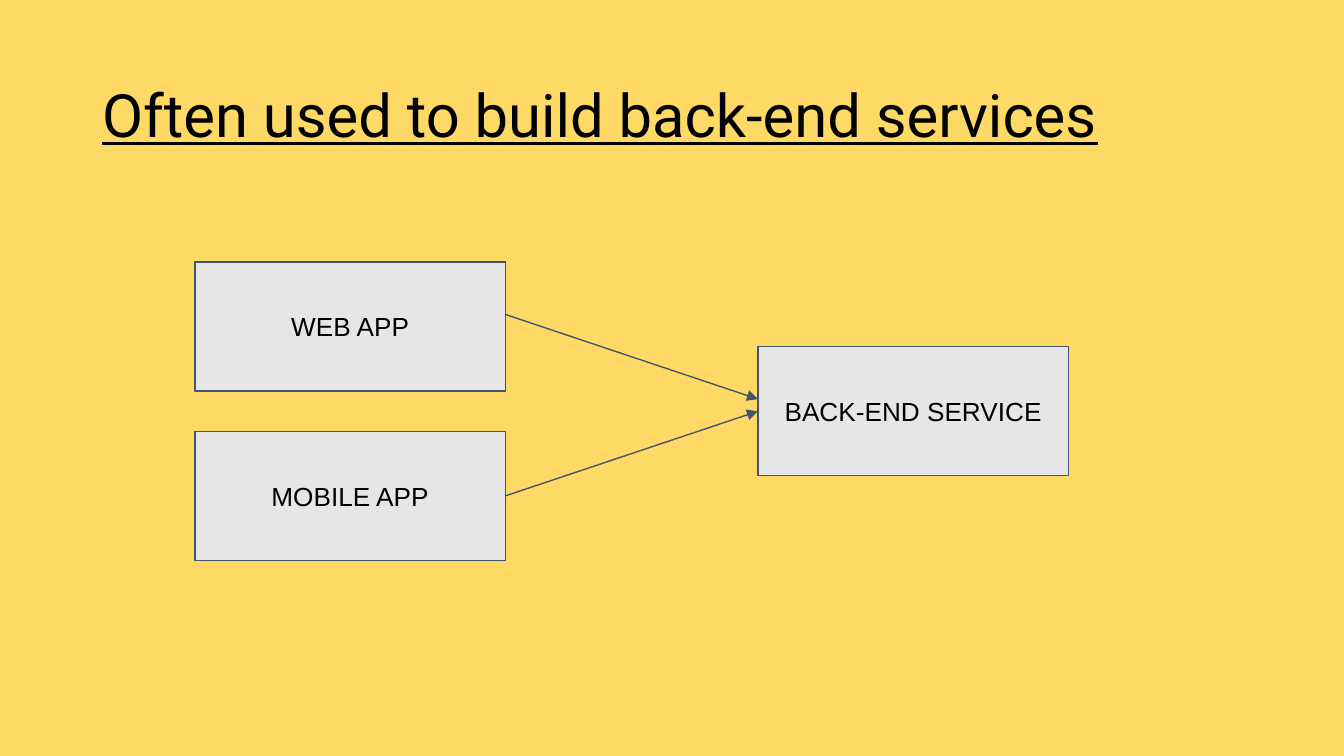
from lxml import etree
from pptx import Presentation
from pptx.dml.color import RGBColor
from pptx.enum.shapes import MSO_CONNECTOR, MSO_SHAPE
from pptx.enum.text import MSO_ANCHOR, PP_ALIGN
from pptx.oxml.ns import qn
from pptx.util import Inches, Pt

RECT = MSO_SHAPE.RECTANGLE
STRAIGHT = MSO_CONNECTOR.STRAIGHT
MIDDLE = MSO_ANCHOR.MIDDLE
LEFT, CENTER = PP_ALIGN.LEFT, PP_ALIGN.CENTER
LEFT_SIDE, RIGHT_SIDE = 1, 3

YELLOW = RGBColor(0xFF, 0xD9, 0x66)
GREY = RGBColor(0xE7, 0xE6, 0xE6)
SLATE = RGBColor(0x44, 0x54, 0x6A)
BLACK = RGBColor(0, 0, 0)

BOX_W, BOX_H = 2.31, 0.96
APP_X, SERVICE_X = 1.45, 5.64
APP_Y, STEP = 1.95, 1.26
SERVICE_Y = APP_Y + STEP / 2


def add_text(shape, text, font, size, align, pad_x, pad_y):
    frame = shape.text_frame
    frame.word_wrap = True
    frame.vertical_anchor = MIDDLE
    frame.margin_left = frame.margin_right = Inches(pad_x)
    frame.margin_top = frame.margin_bottom = Inches(pad_y)
    para = frame.paragraphs[0]
    para.alignment = align
    run = para.add_run()
    run.text = text
    run.font.name = font
    run.font.size = Pt(size)
    run.font.color.rgb = BLACK
    return run


def add_title(slide, text):
    title = slide.shapes.add_textbox(
        Inches(0.69), Inches(0.3), Inches(8.62), Inches(1.09))
    run = add_text(title, text, "Roboto", 32, LEFT, 0.07, 0.04)
    run.font.underline = True


def add_box(slide, text, x, y):
    box = slide.shapes.add_shape(
        RECT, Inches(x), Inches(y), Inches(BOX_W), Inches(BOX_H))
    box.shadow.inherit = False
    box.fill.solid()
    box.fill.fore_color.rgb = GREY
    box.line.color.rgb = SLATE
    box.line.width = Pt(0.75)
    add_text(box, text, "Arial", 14, CENTER, 0.1, 0.1)
    return box


def add_arrow(slide, start_y, end_y):
    arrow = slide.shapes.add_connector(
        STRAIGHT, Inches(APP_X + BOX_W), Inches(start_y),
        Inches(SERVICE_X), Inches(end_y))
    arrow.line.color.rgb = SLATE
    arrow.line.width = Pt(0.75)
    etree.SubElement(arrow.line._get_or_add_ln(), qn("a:tailEnd"), type="triangle")
    etree.SubElement(arrow._element.spPr, qn("a:effectLst"))
    return arrow


def main():
    deck = Presentation()
    deck.slide_width = Inches(10)
    deck.slide_height = Inches(10 * 9 / 16)
    slide = deck.slides.add_slide(deck.slide_layouts[6])
    slide.background.fill.solid()
    slide.background.fill.fore_color.rgb = YELLOW

    add_title(slide, "Often used to build back-end services")
    add_box(slide, "WEB APP", APP_X, APP_Y)
    mobile = add_box(slide, "MOBILE APP", APP_X, APP_Y + STEP)
    service = add_box(slide, "BACK-END SERVICE", SERVICE_X, SERVICE_Y)

    add_arrow(slide, 2.34, 2.97)
    lower = add_arrow(slide, 3.69, 3.06)
    lower.begin_connect(mobile, RIGHT_SIDE)
    lower.end_connect(service, LEFT_SIDE)
    deck.save("out.pptx")


if __name__ == "__main__":
    main()
